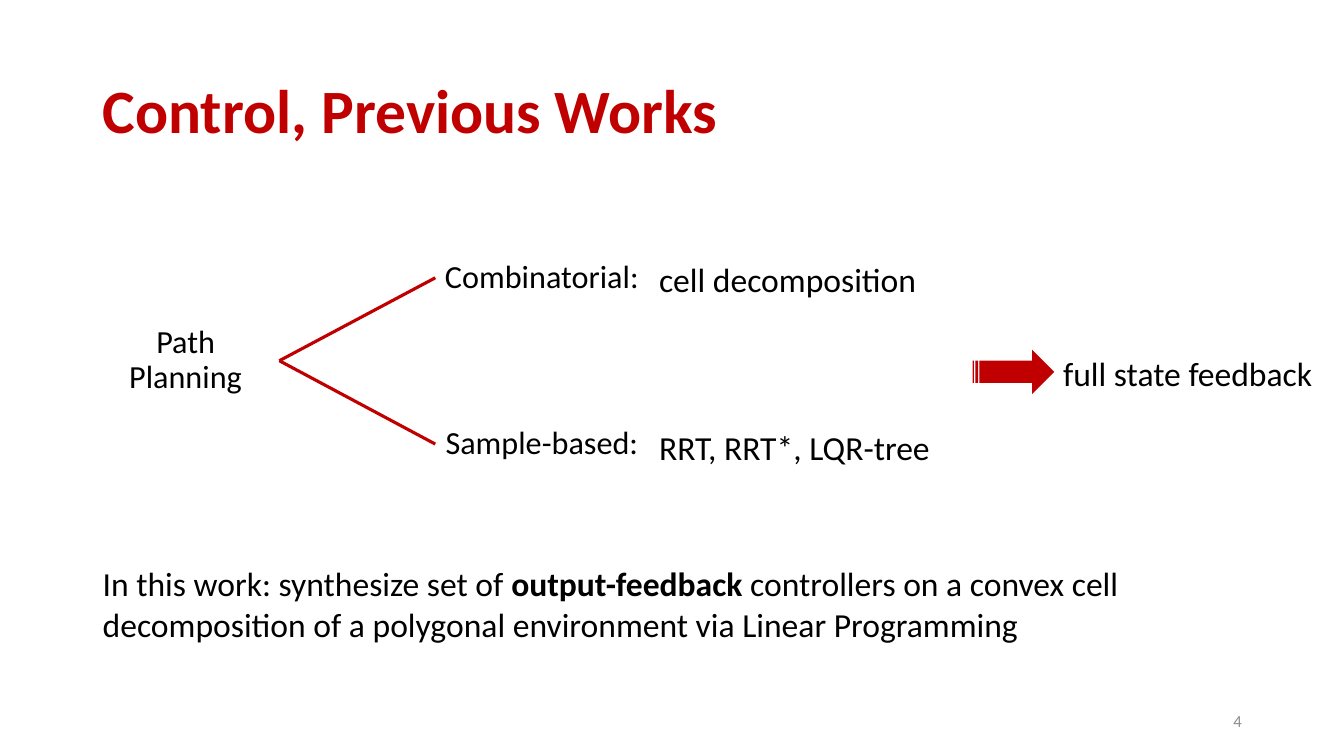
import pptx
import pptx.util
import pptx.dml.color
import pptx.enum.shapes
import pptx.enum.text
import pptx.oxml.ns
from dataclasses import dataclass
from lxml import etree

Cm = pptx.util.Cm
Align = pptx.enum.text.PP_ALIGN
Anchor = pptx.enum.text.MSO_ANCHOR


@dataclass(frozen=True)
class Theme:
    """Colours, font and type sizes of the deck."""
    font: str = "Calibri"
    red: str = "C00000"
    ink: str = "000000"
    gray: str = "8C8C8C"
    title: int = 44
    body: int = 24
    node: int = 23
    small: int = 12
    rule: float = 2.25


class Board:
    """Draws styled elements on the current slide."""

    def __init__(self, theme, slide):
        self.theme = theme
        self.slide = slide

    def tint(self, code):
        return pptx.dml.color.RGBColor.from_string(code)

    def text(self, box, runs, size, color=None, bold=None, align=Align.LEFT,
             anchor=Anchor.TOP, inset=None, space=1.0, wrap=True):
        frame = self.slide.shapes.add_textbox(*map(Cm, box)).text_frame
        frame.word_wrap = wrap
        frame.vertical_anchor = anchor
        if inset is not None:
            frame.margin_left = frame.margin_right = Cm(inset)
            frame.margin_top = frame.margin_bottom = Cm(inset)
        para = frame.paragraphs[0]
        para.alignment = align
        para.line_spacing = space
        para.font.name = self.theme.font
        para.font.size = pptx.util.Pt(size)
        para.font.color.rgb = self.tint(color or self.theme.ink)
        para.font.bold = bold
        for words, strong in runs:
            run = para.add_run()
            run.text = words
            if strong:
                run.font.bold = True

    def node(self, left, mid, width, words):
        high = 1.75
        self.text((left, mid - high / 2, width, high), [(words, False)],
                  self.theme.node, align=Align.CENTER, anchor=Anchor.MIDDLE,
                  inset=0.05, space=0.9)

    def line(self, start, end):
        kind = pptx.enum.shapes.MSO_CONNECTOR.STRAIGHT
        link = self.slide.shapes.add_connector(kind, *map(Cm, start + end))
        link.line.color.rgb = self.tint(self.theme.red)
        link.line.width = pptx.util.Pt(self.theme.rule)
        props = link._element.spPr
        etree.SubElement(props, pptx.oxml.ns.qn("a:effectLst"))

    def arrow(self, box):
        kind = pptx.enum.shapes.MSO_SHAPE.STRIPED_RIGHT_ARROW
        shape = self.slide.shapes.add_shape(kind, *map(Cm, box))
        shape.shadow.inherit = False
        shape.fill.solid()
        shape.fill.fore_color.rgb = self.tint(self.theme.red)
        shape.line.fill.background()


def main():
    """Build the slide and save it."""
    deck = pptx.Presentation()
    deck.slide_width, deck.slide_height = Cm(33.87), Cm(19.05)
    theme = Theme()
    board = Board(theme, deck.slides.add_slide(deck.slide_layouts[6]))

    board.text((2.34, 1.02, 29.21, 3.68), [("Control, Previous Works", False)],
               theme.title, theme.red, True, anchor=Anchor.MIDDLE, space=0.9)
    board.text((23.93, 17.65, 7.62, 1.02), [("4", False)], theme.small,
               theme.gray, align=Align.RIGHT, anchor=Anchor.MIDDLE)

    root = (7.04, 9.09)
    board.node(2.53, root[1], 4.3, "Path Planning")
    branches = [
        (7.0, "Combinatorial:", 6.4, "cell decomposition"),
        (11.19, "Sample-based:", 10.64, "RRT, RRT*, LQR-tree"),
    ]
    for mid, name, top, detail in branches:
        board.line(root, (10.97, mid))
        board.node(11.02, mid, 5.28, name)
        board.text((16.36, top, 7.42, 1.27), [(detail, False)], theme.body,
                   wrap=False)

    board.text((2.34, 14.07, 28.88, 2.31), [
        ("In this work: synthesize set of ", False),
        ("output-feedback", True),
        (" controllers on a convex cell decomposition of a polygonal "
         "environment via Linear Programming", False),
    ], theme.body)
    board.text((26.54, 8.76, 7.3, 1.27), [("full state feedback", False)],
               theme.body)
    board.arrow((24.51, 8.81, 2.06, 1.12))
    deck.save("out.pptx")


if __name__ == "__main__":
    main()
